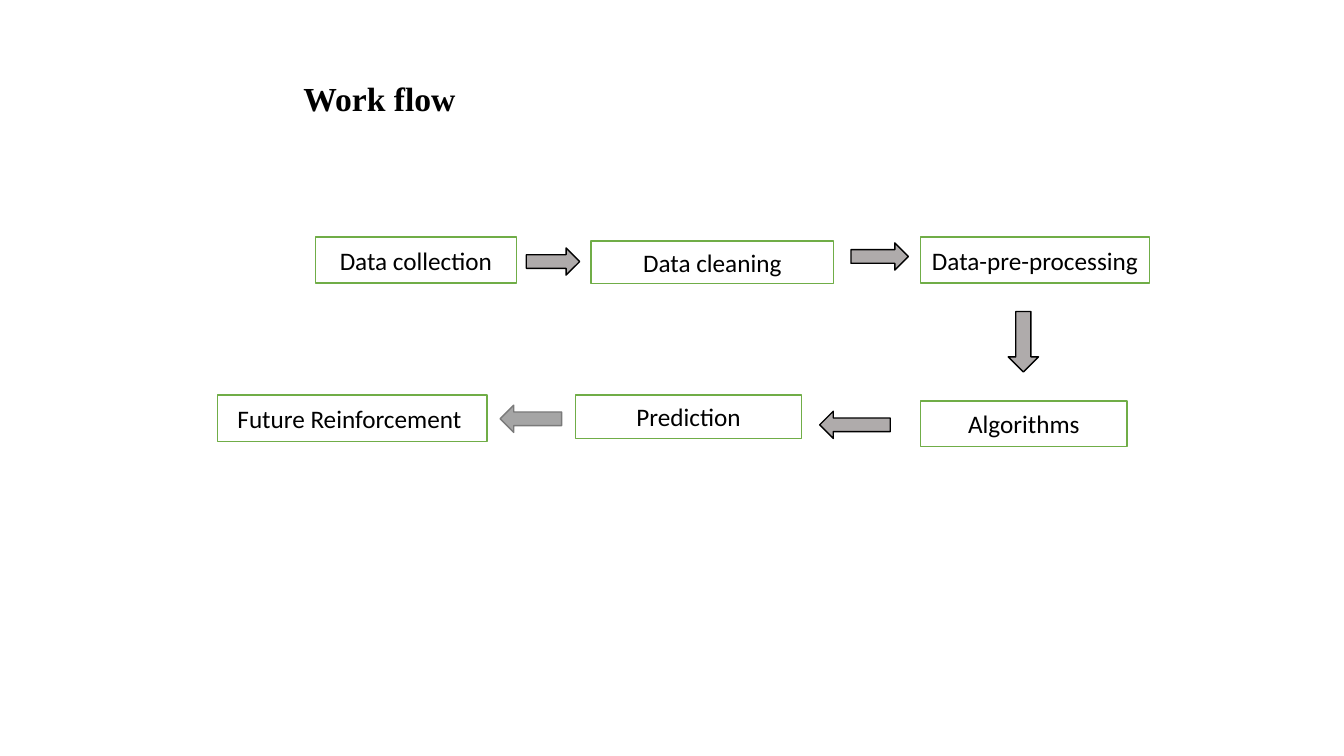
from pptx import Presentation
from pptx.dml.color import RGBColor
from pptx.enum.shapes import MSO_SHAPE
from pptx.enum.text import MSO_ANCHOR, PP_ALIGN
from pptx.util import Pt

EMU_PER_PX = 9144
RECTANGLE = MSO_SHAPE.RECTANGLE
RIGHT = MSO_SHAPE.RIGHT_ARROW
LEFT = MSO_SHAPE.LEFT_ARROW
DOWN = MSO_SHAPE.DOWN_ARROW
CENTER = PP_ALIGN.CENTER
MIDDLE = MSO_ANCHOR.MIDDLE
BOTTOM = MSO_ANCHOR.BOTTOM

BLACK, WHITE, GREEN = "000000", "FFFFFF", "70AD47"
ARROW_GRAY, LAST_ARROW_GRAY, LAST_ARROW_LINE = "AFABAB", "A5A5A5", "7A7A7A"

STEPS = [
    ("Data collection", (313, 235, 199, 46)),
    ("Data cleaning", (586, 239, 241, 42)),
    ("Data-pre-processing", (913, 235, 227, 46)),
    ("Algorithms", (913, 398, 205, 45)),
    ("Prediction", (571, 392, 224, 43)),
    ("Future Reinforcement ", (216, 392, 267, 46)),
]
ARROWS = [
    (RIGHT, (522, 246, 53, 27), ARROW_GRAY, BLACK),
    (RIGHT, (844, 241, 57, 27), ARROW_GRAY, BLACK),
    (DOWN, (1000, 309, 30, 60), ARROW_GRAY, BLACK),
    (LEFT, (813, 408, 70, 27), ARROW_GRAY, BLACK),
    (LEFT, (496, 402, 61, 27), LAST_ARROW_GRAY, LAST_ARROW_LINE),
]


def px(length):
    """Turn a length in px into EMU."""
    return length * EMU_PER_PX


def color(hex_code):
    """Turn a hex string into a colour."""
    return RGBColor.from_string(hex_code)


def write_text(shape, text, font_name, size, anchor, bold=False):
    """Write one centred black paragraph into a shape."""
    frame = shape.text_frame
    frame.text = text
    frame.word_wrap = True
    frame.vertical_anchor = anchor
    paragraph = frame.paragraphs[0]
    paragraph.alignment = CENTER
    font = paragraph.runs[0].font
    font.name = font_name
    font.size = Pt(size)
    font.bold = bold
    font.color.rgb = color(BLACK)
    return paragraph


def add_title(slide, text, box):
    """Add the slide heading."""
    title = slide.shapes.add_textbox(*map(px, box))
    paragraph = write_text(title, text, "Times New Roman", 24, BOTTOM, bold=True)
    paragraph.line_spacing = 0.9


def add_outlined_shape(slide, kind, box, fill, line):
    """Add a flat preset shape with a one-point outline."""
    shape = slide.shapes.add_shape(kind, *map(px, box))
    shape.shadow.inherit = False
    shape.fill.solid()
    shape.fill.fore_color.rgb = color(fill)
    shape.line.color.rgb = color(line)
    shape.line.width = Pt(1)
    return shape


def add_step(slide, text, box):
    """Add one labelled step of the work flow."""
    step = add_outlined_shape(slide, RECTANGLE, box, WHITE, GREEN)
    write_text(step, text, "Calibri", 18, MIDDLE)


def main():
    """Build the work flow slide and save it."""
    presentation = Presentation()
    presentation.slide_width = px(1333)
    presentation.slide_height = px(750)
    slide = presentation.slides.add_slide(presentation.slide_layouts[6])
    add_title(slide, "Work flow ", (50, 64, 661, 59))
    for text, box in STEPS:
        add_step(slide, text, box)
    for kind, box, fill, line in ARROWS:
        add_outlined_shape(slide, kind, box, fill, line)
    presentation.save("out.pptx")


if __name__ == "__main__":
    main()
